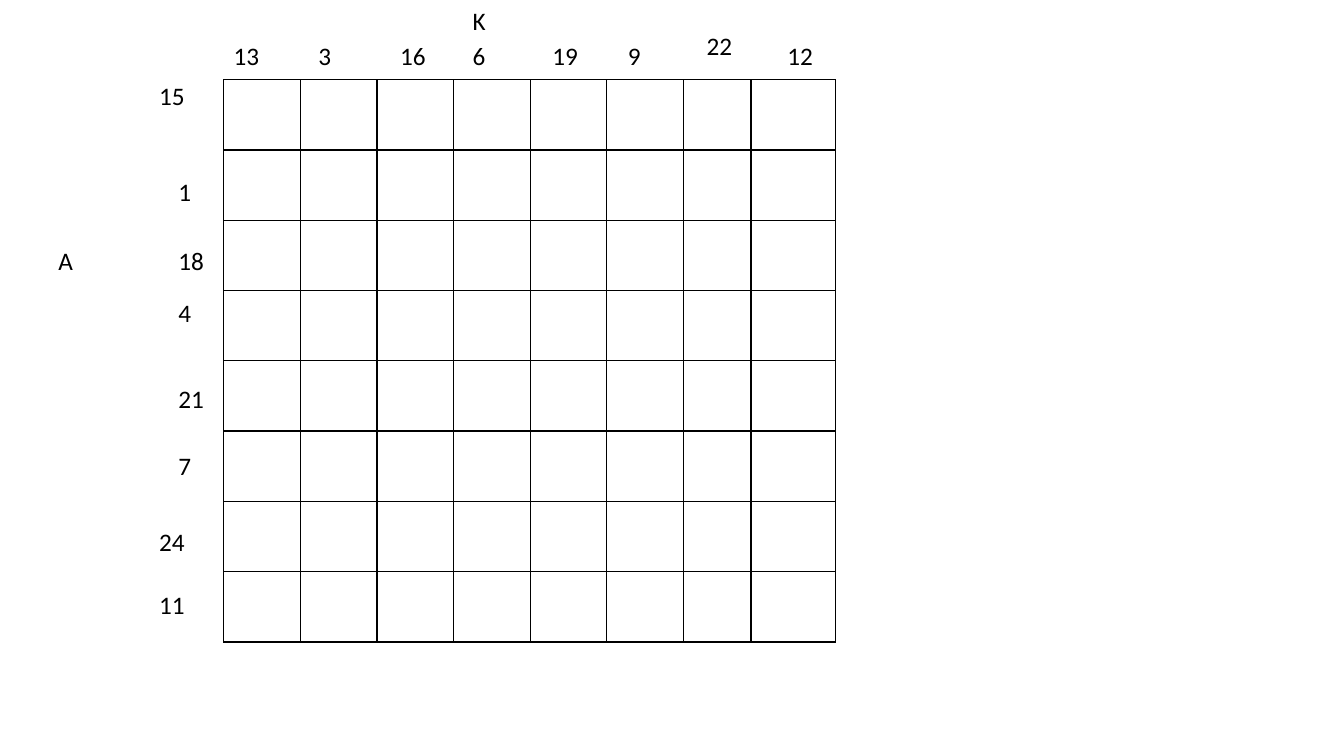
from lxml import etree
from pptx import Presentation
from pptx.dml.color import RGBColor
from pptx.enum.text import MSO_AUTO_SIZE
from pptx.oxml.ns import qn
from pptx.util import Inches, Pt

BLACK = RGBColor(0, 0, 0)
FONT = "Calibri"
LABEL_HEIGHT = 0.4

# Column numbers: text, left, top, width
COLUMN_LABELS = [
    ("13", 2.22, 0.35, 0.57),
    ("3", 3.06, 0.35, 0.57),
    ("16", 3.87, 0.35, 0.57),
    ("6", 4.59, 0.35, 0.45),
    ("19", 5.38, 0.35, 0.57),
    ("9", 6.13, 0.35, 0.38),
    ("22", 6.91, 0.25, 0.57),
    ("12", 7.71, 0.35, 0.61),
]
# Row numbers: text, left, top, width
ROW_LABELS = [
    ("15", 1.48, 0.75, 0.61),
    ("1", 1.67, 1.7, 0.55),
    ("18", 1.67, 2.38, 0.55),
    ("4", 1.67, 2.9, 0.42),
    ("21", 1.67, 3.75, 0.55),
    ("7", 1.67, 4.42, 0.42),
    ("24", 1.48, 5.17, 0.74),
    ("11", 1.48, 5.8, 0.61),
]
AXIS_LABELS = [("A", 0.48, 2.38, 0.86), ("K", 4.59, 0, 0.57)]

GRID_LEFT, GRID_TOP, GRID_WIDTH, GRID_HEIGHT = 2.22, 0.79, 6.07, 5.58
COLUMN_WIDTHS = [0.76] * 6 + [0.67, 0.84]
ROW_COUNT = len(ROW_LABELS)


def add_borders(cell):
    """Draw a 1 pt black line on all four sides of the cell."""
    properties = cell._tc.get_or_add_tcPr()
    for position, side in enumerate(("lnL", "lnR", "lnT", "lnB")):
        line = etree.Element(qn(f"a:{side}"), w=str(Pt(1)))
        fill = etree.SubElement(line, qn("a:solidFill"))
        etree.SubElement(fill, qn("a:srgbClr"), val=str(BLACK))
        properties.insert(position, line)


def add_grid(slide):
    grid = slide.shapes.add_table(
        ROW_COUNT, len(COLUMN_WIDTHS), Inches(GRID_LEFT), Inches(GRID_TOP),
        Inches(GRID_WIDTH), Inches(GRID_HEIGHT)).table
    grid.first_row = grid.horz_banding = False
    for column, width in zip(grid.columns, COLUMN_WIDTHS):
        column.width = Inches(width)
    for row in grid.rows:
        row.height = Inches(GRID_HEIGHT / ROW_COUNT)
    for cell in grid.iter_cells():
        cell.fill.background()
        add_borders(cell)


def add_label(slide, text, left, top, width):
    frame = slide.shapes.add_textbox(
        Inches(left), Inches(top), Inches(width), Inches(LABEL_HEIGHT)).text_frame
    frame.word_wrap = True
    frame.auto_size = MSO_AUTO_SIZE.SHAPE_TO_FIT_TEXT
    frame.text = text
    font = frame.paragraphs[0].runs[0].font
    font.name = FONT
    font.size = Pt(18)
    font.color.rgb = BLACK


def main():
    presentation = Presentation()
    presentation.slide_width = Inches(13.33)
    presentation.slide_height = Inches(7.5)
    slide = presentation.slides.add_slide(presentation.slide_layouts[6])
    add_grid(slide)
    for label in COLUMN_LABELS + ROW_LABELS + AXIS_LABELS:
        add_label(slide, *label)
    presentation.save("out.pptx")


if __name__ == "__main__":
    main()
